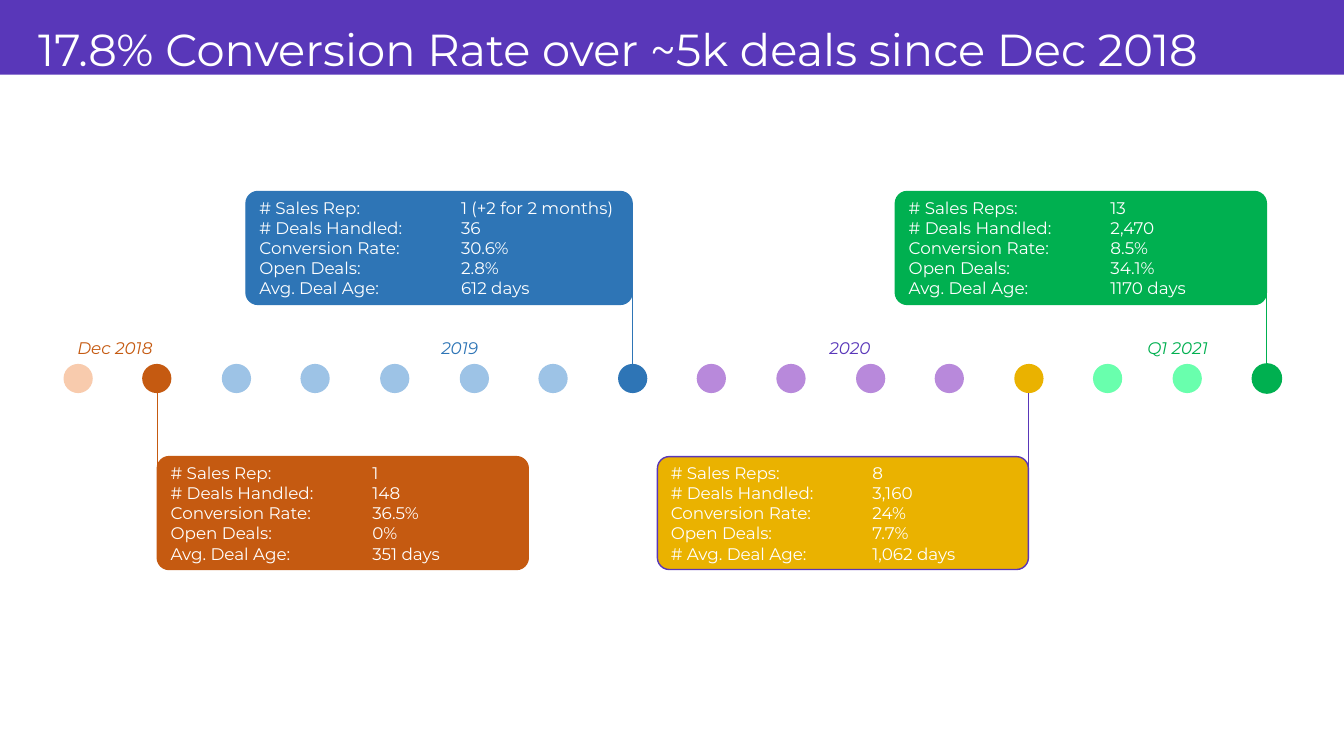
from dataclasses import dataclass

from lxml.etree import SubElement
from pptx import Presentation
from pptx.dml.color import RGBColor
from pptx.enum.shapes import MSO_CONNECTOR, MSO_SHAPE
from pptx.enum.text import MSO_ANCHOR, PP_ALIGN
from pptx.oxml.ns import qn
from pptx.util import Pt

PX = 9144  # EMU: 100 px to the inch


@dataclass(frozen=True)
class Theme:
    font: str = "Montserrat"
    head: int = 32
    body: int = 12
    white: str = "FFFFFF"
    violet: str = "5937B9"
    peach: str = "F8CBAD"
    rust: str = "C55A11"
    sky: str = "9DC3E6"
    blue: str = "2E75B6"
    lilac: str = "B889DB"
    gold: str = "EAB200"
    mint: str = "69FFAD"
    green: str = "00B050"


T = Theme()

DOT_X, DOT_END, DOT_Y, DOT = 63, 1242, 361, 29
DOTS = ([T.peach, T.rust] + [T.sky] * 5 + [T.blue] + [T.lilac] * 4
        + [T.gold] + [T.mint] * 2 + [T.green])
CARD_H, TOP_Y, LOW_Y = 112, 190, 453
LEFT, RIGHT = 1, 3

# text, left, width, colour
DATES = [
    ("Dec 2018", 64, 100, T.rust),
    ("2019", 383, 146, T.blue),
    ("2020", 770, 146, T.violet),
    ("Q1 2021", 1095, 146, T.green),
]

NAMES = ("# Sales Reps:", "# Deals Handled:", "Conversion Rate:",
         "Open Deals:", "Avg. Deal Age:")
SOLO = ("# Sales Rep:",) + NAMES[1:]
MARKED = NAMES[:4] + ("# Avg. Deal Age:",)

# left, top, width, fill, line, side with the stem, names, values
CARDS = [
    (888, TOP_Y, 368, T.green, T.green, RIGHT, NAMES,
     ("13", "2,470", "8.5%", "34.1%", "1170 days")),
    (244, TOP_Y, 383, T.blue, T.blue, RIGHT, SOLO,
     ("1 (+2 for 2 months)", "36", "30.6%", "2.8%", "612 days")),
    (652, LOW_Y, 368, T.gold, T.violet, RIGHT, MARKED,
     ("8", "3,160", "24%", "7.7%", "1,062 days")),
    (156, LOW_Y, 368, T.rust, T.rust, LEFT, SOLO,
     ("1", "148", "36.5%", "0%", "351 days")),
]


def px(*sizes):
    return [size * PX for size in sizes]


def rgb(code):
    return RGBColor.from_string(code)


def write(shape, lines, size=T.body, color=T.white, italic=False,
          align=PP_ALIGN.LEFT, tab=None, space=None):
    """Fill a shape with one paragraph per line; tab is a stop in px."""
    frame = shape.text_frame
    frame.word_wrap = True
    frame.vertical_anchor = MSO_ANCHOR.MIDDLE
    for i, line in enumerate(lines):
        para = frame.add_paragraph() if i else frame.paragraphs[0]
        para.alignment = align
        if space:
            para.line_spacing = space
        if tab:
            stops = SubElement(para._p.get_or_add_pPr(), qn("a:tabLst"))
            SubElement(stops, qn("a:tab"), pos=str(tab * PX), algn="l")
        run = para.add_run()
        run.text = line
        font = run.font
        font.name, font.size, font.italic = T.font, Pt(size), italic
        font.color.rgb = rgb(color)


def add_box(slide, kind, place, fill, line=None):
    shape = slide.shapes.add_shape(kind, *px(*place))
    shape.shadow.inherit = False
    shape.fill.solid()
    shape.fill.fore_color.rgb = rgb(fill)
    if line:
        shape.line.color.rgb = rgb(line)
        shape.line.width = Pt(1)
    else:
        shape.line.fill.background()
    return shape


def add_text(slide, text, place, **style):
    write(slide.shapes.add_textbox(*px(*place)), [text], **style)


def add_dots(slide):
    last = len(DOTS) - 1
    for i, fill in enumerate(DOTS):
        x = DOT_X + (DOT_END - DOT_X) * i // last
        add_box(slide, MSO_SHAPE.OVAL, (x, DOT_Y, DOT, DOT), fill,
                fill if i == last else None)


def add_stem(slide, card, side, x, y, color):
    """Join the middle of a card's side to the edge of its dot."""
    stem = slide.shapes.add_connector(MSO_CONNECTOR.STRAIGHT, *px(x, y, x, y))
    stem.begin_connect(card, side)
    stem.line.color.rgb = rgb(color)
    stem.line.width = Pt(0.5)
    SubElement(stem._element.spPr, qn("a:effectLst"))


def add_card(slide, x, y, width, fill, line, side, names, values):
    card = add_box(slide, MSO_SHAPE.ROUNDED_RECTANGLE,
                   (x, y, width, CARD_H), fill, line)
    card.adjustments[0] = 0.105
    rows = [f"{name}\t{value}" for name, value in zip(names, values)]
    write(card, rows, tab=200)
    edge = x if side == LEFT else x + width
    end = DOT_Y if y < DOT_Y else DOT_Y + DOT
    add_stem(slide, card, side, edge, end, line)


def main():
    deck = Presentation()
    deck.slide_width, deck.slide_height = px(1333, 750)
    slide = deck.slides.add_slide(deck.slide_layouts[6])
    add_box(slide, MSO_SHAPE.RECTANGLE, (0, 0, 1333, 74), T.violet)
    add_text(slide, "17.8% Conversion Rate over ~5k deals since Dec 2018",
             (28, 15, 1265, 74), size=T.head, space=0.9)
    add_dots(slide)
    for text, x, width, color in DATES:
        add_text(slide, text, (x, 330, width, 30), color=color,
                 italic=True, align=PP_ALIGN.CENTER)
    for card in CARDS:
        add_card(slide, *card)
    deck.save("out.pptx")


if __name__ == "__main__":
    main()
